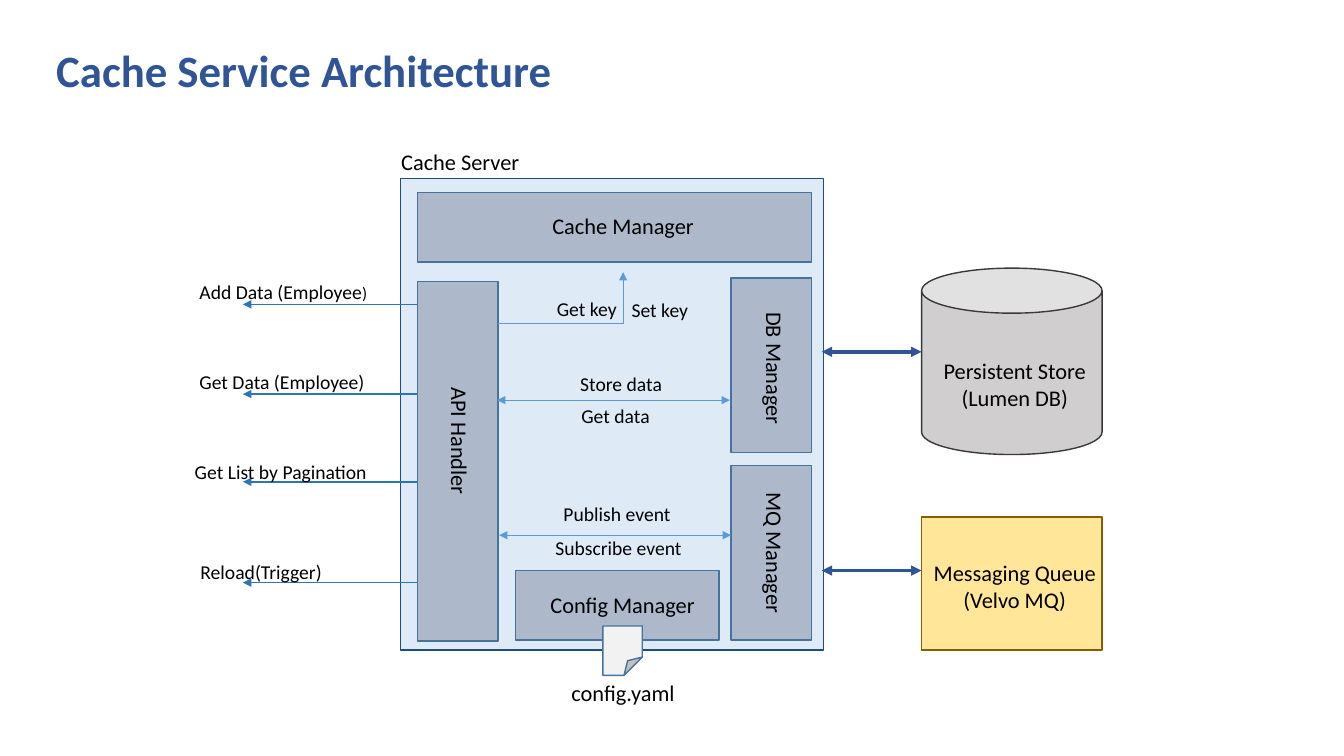
import pptx
import pptx.util
import pptx.dml.color
import pptx.enum.shapes
import pptx.enum.text
import pptx.oxml.ns
import lxml.etree

PX = 9144  # 100 px to the inch
SHAPE = pptx.enum.shapes.MSO_SHAPE
LINE = pptx.enum.shapes.MSO_CONNECTOR
ALIGN = pptx.enum.text.PP_ALIGN
BLACK, TITLE_BLUE = "000000", "2F5597"
MODULE_FILL, MODULE_LINE = "ADB9CA", "43739E"

color = pptx.dml.color.RGBColor.from_string
qn = pptx.oxml.ns.qn
deck = pptx.Presentation()
deck.slide_width, deck.slide_height = 1333 * PX, 750 * PX
slide = deck.slides.add_slide(deck.slide_layouts[6])


def add_label(text, left, top, width, height, size=16, align=ALIGN.CENTER, rotation=0):
    """Add an unwrapped text box, one paragraph to each line of text."""
    label = slide.shapes.add_textbox(left * PX, top * PX, width * PX, height * PX)
    label.rotation = rotation
    frame = label.text_frame
    frame.word_wrap = False
    frame.auto_size = pptx.enum.text.MSO_AUTO_SIZE.SHAPE_TO_FIT_TEXT
    frame.text = text
    for paragraph in frame.paragraphs:
        paragraph.alignment = align
        paragraph.font.name = "Calibri"
        paragraph.font.size = pptx.util.Pt(size)
        paragraph.font.color.rgb = color(BLACK)
    return frame


def add_arrow(x1, y1, x2, y2, hue, weight, both=False, kind=LINE.STRAIGHT):
    """Add a connector with an arrowhead at its end, or at both ends."""
    arrow = slide.shapes.add_connector(kind, x1 * PX, y1 * PX, x2 * PX, y2 * PX)
    arrow.line.color.rgb = color(hue)
    arrow.line.width = pptx.util.Pt(weight)
    for end in ["a:headEnd", "a:tailEnd"] if both else ["a:tailEnd"]:
        lxml.etree.SubElement(arrow.get_or_add_ln(), qn(end), type="triangle")
    lxml.etree.SubElement(arrow._element.spPr, qn("a:effectLst"))
    return arrow


# Title
title = slide.shapes.add_textbox(46 * PX, 0, 1150 * PX, 145 * PX).text_frame
title.word_wrap = True
title.vertical_anchor = pptx.enum.text.MSO_ANCHOR.MIDDLE
title.text = "Cache Service Architecture"
heading = title.paragraphs[0]
heading.line_spacing = 0.9
heading.font.name = "Calibri"
heading.font.size = pptx.util.Pt(32)
heading.font.bold = True
heading.font.color.rgb = color(TITLE_BLUE)

# Server, its modules and the outside stores
blocks = [
    (SHAPE.RECTANGLE, 397, 177, 420, 468, "DEEBF7", "1F4E79"),  # server
    (SHAPE.CAN, 914, 266, 179, 185, "D0CECE", "3B3838"),  # store
    (SHAPE.RECTANGLE, 914, 513, 179, 132, "FFE699", "806000"),  # queue
    (SHAPE.RECTANGLE, 414, 191, 391, 69, MODULE_FILL, MODULE_LINE),  # cache
    (SHAPE.RECTANGLE, 414, 279, 80, 357, MODULE_FILL, MODULE_LINE),  # API
    (SHAPE.RECTANGLE, 511, 566, 202, 69, MODULE_FILL, MODULE_LINE),  # config
    (SHAPE.RECTANGLE, 725, 276, 80, 173, MODULE_FILL, MODULE_LINE),  # DB
    (SHAPE.RECTANGLE, 725, 462, 80, 173, MODULE_FILL, MODULE_LINE),  # MQ
    (SHAPE.FOLDED_CORNER, 598, 621, 39, 49, "F2F2F2", MODULE_LINE),  # config file
]
for kind, left, top, width, height, fill, edge in blocks:
    block = slide.shapes.add_shape(kind, left * PX, top * PX, width * PX, height * PX)
    block.shadow.inherit = False
    block.fill.solid()
    block.fill.fore_color.rgb = color(fill)
    block.line.color.rgb = color(edge)
    block.line.width = pptx.util.Pt(1)
    if kind == SHAPE.FOLDED_CORNER:
        fold = block._element.spPr.find(qn("a:prstGeom")).find(qn("a:avLst"))
        lxml.etree.SubElement(fold, qn("a:gd"), name="adj", fmla="val 46500")

for name, left, top, width, height in [
    ("Persistent Store\n(Lumen DB)", 925, 349, 163, 91),
    ("Messaging Queue\n(Velvo MQ)", 915, 550, 183, 64),
    ("Cache Server", 387, 142, 139, 64),
    ("Cache Manager", 537, 206, 162, 64),
    ("Config Manager", 535, 582, 165, 64),
    ("config.yaml", 556, 669, 124, 64),
]:
    add_label(name, left, top, width, height)

for name, left, top, width in [
    ("API Handler", 392, 419, 128),
    ("DB Manager", 702, 347, 133),
    ("MQ Manager", 698, 530, 141),
]:
    add_label(name, left, top, width, 37, rotation=90)

# Links from the server to the outside stores
for y in (349, 566):
    add_arrow(815, y, 914, y, TITLE_BLUE, 2.5, both=True)

# API calls
for y in (302, 391, 478, 578):
    add_arrow(414, y, 241, y, "2E75B6", 1)
add_data = add_label("Add Data (Employee", 188, 273, 188, 61, 14, ALIGN.LEFT)
closing = add_data.paragraphs[0].add_run()
closing.text = ")"
closing.font.size = pptx.util.Pt(12)
add_label("Get Data (Employee)", 188, 362, 186, 64, 14, ALIGN.LEFT)
add_label("Get List by Pagination", 182, 451, 193, 57, 14)
add_label("Reload(Trigger)", 188, 551, 142, 34, 14)

# Traffic between the modules
for x1, x2, y in [(493, 724, 397), (495, 725, 531)]:
    add_arrow(x1, y, x2, y, "5B9BD5", 0.5, both=True)
key_arrow = add_arrow(494, 321, 618, 270, "5B9BD5", 0.5, kind=LINE.ELBOW)
key_arrow._element.spPr.find(qn("a:prstGeom")).set("prst", "bentConnector2")
for name, left, top, width in [
    ("Publish event", 548, 493, 128),
    ("Subscribe event", 540, 527, 147),
    ("Store data", 565, 364, 102),
    ("Get data", 566, 396, 89),
    ("Set key", 616, 291, 77),
    ("Get key", 542, 290, 80),
]:
    add_label(name, left, top, width, 34, 14)

deck.save("out.pptx")
